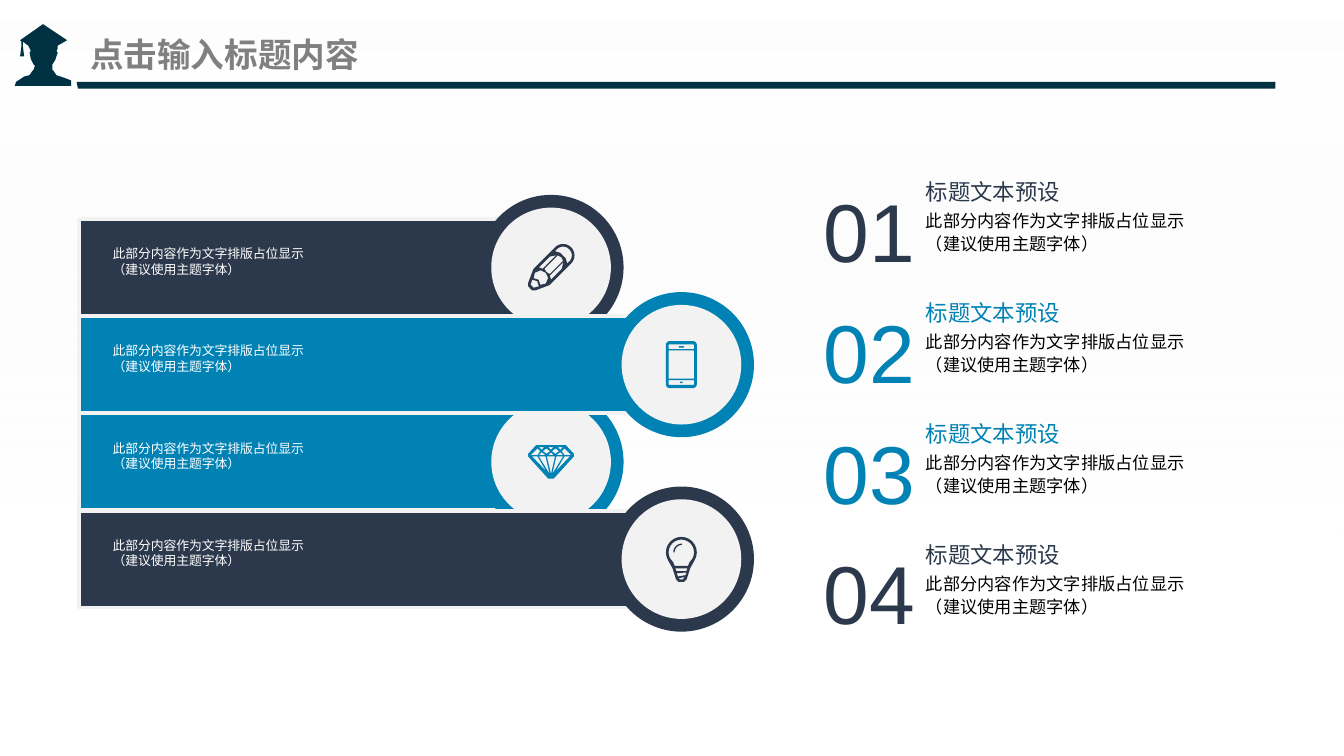
from dataclasses import dataclass
from math import cos, radians, sin, sqrt

from lxml.etree import SubElement
from pptx import Presentation
from pptx.dml.color import RGBColor
from pptx.enum.shapes import MSO_SHAPE
from pptx.enum.text import MSO_ANCHOR
from pptx.oxml.ns import qn
from pptx.util import Inches, Pt

Point = tuple[float, float]
Contour = list[Point]


@dataclass(frozen=True)
class Theme:
    navy: str = "2C394C"
    blue: str = "0083B4"
    header: str = "003142"
    title: str = "808080"
    pale: str = "F2F2F2"
    white: str = "FFFFFF"
    black: str = "000000"
    font: str = "Arial"
    title_font: str = "Noto Sans CJK SC"
    title_size: float = 18
    number_size: float = 44
    heading_size: float = 12
    body_size: float = 9.2
    bar_size: float = 6.9


@dataclass(frozen=True)
class Item:
    number: str
    color: str
    bar_width: float
    circle_x: float
    icon: list[Contour]


THEME = Theme()
SLIDE_WIDTH = 10
SLIDE_HEIGHT = SLIDE_WIDTH * 9 / 16
BODY = "此部分内容作为文字排版占位显示\n（建议使用主题字体）"
BAR_LEFT, BAR_TOP, BAR_HEIGHT, BAR_PITCH = 0.59, 1.63, 0.72, 2.17 / 3
RING, DISC = 1.08, 0.89
LIST_TOP, LIST_PITCH = 1.29, 0.9


# Icon geometry, in hundredths of an inch around the icon centre
def arc(x: float, y: float, radius: float, start: int, end: int) -> Contour:
    steps = 16
    angles = [radians(start + (end - start) * i / steps) for i in range(steps + 1)]
    return [(x + radius * cos(a), y + radius * sin(a)) for a in angles]


def box(half_width: float, top: float, bottom: float, radius: float = 0.5) -> Contour:
    right, low, high = half_width - radius, bottom - radius, top + radius
    return (arc(right, low, radius, 0, 90) + arc(-right, low, radius, 90, 180)
            + arc(-right, high, radius, 180, 270) + arc(right, high, radius, 270, 360))


def mirrored(contours: list[Contour], x_sign: int, y_sign: int) -> list[Contour]:
    return contours + [[(x * x_sign, y * y_sign) for x, y in c] for c in contours]


def pencil() -> list[Contour]:
    upright = [
        [(-10, -8.5)] + arc(12.7, 0, 8.5, -90, 90)
        + [(-10, 8.5), (-20, 4), (-22, 2), (-22, -2), (-20, -4)],
        arc(12.7, 0, 6.5, -90, 90) + [(10.6, 6.4), (12.5, 3), (12.5, -3), (10.6, -6.4)],
        [(-4.2, -2.8), (9.9, -2.8), (10.8, 0), (9.9, 2.8), (-4.2, 2.8), (-4.8, 0)],
        [(-14.8, -3.5), (-11.3, -5.7), (-7, -4), (-5.6, 0), (-7, 4),
         (-11.3, 5.7), (-14.8, 3.5), (-13, 0)],
        [(-19.8, -1.6), (-16.3, -3.5), (-14.5, 0), (-16.3, 3.5), (-19.8, 1.6)],
    ]
    upright += mirrored([[(-6.4, -6.4), (5, -6.4), (9.2, -3.7), (-5, -3.7)]], 1, -1)
    return [[((u + v) / sqrt(2), (v - u) / sqrt(2)) for u, v in c] for c in upright]


def phone() -> list[Contour]:
    return [box(11.5, -17.5, 17.5, 3), box(9.5, -15, -11.5), box(9.5, -10.5, 10.5),
            box(9.5, 11.5, 15), box(2, -13.7, -12.7), box(1, 12.7, 13.7)]


def diamond() -> list[Contour]:
    outline = [(-17, -6), (-11, -12.5), (11, -12.5), (17, -6),
               (17, -4), (2, 12.5), (-2, 12.5), (-17, -4)]
    side_facets = [
        [(-10, -10), (-8, -8), (-10, -5), (-15, -5)],
        [(-14, -4), (-10, -4), (-3.5, 7)],
        [(-9, -4), (-4, -4), (-1, 9)],
        [(-7, -7.3), (-4, -5), (-9, -5)],
        [(-7, -9), (-9, -11), (-5, -11)],
        [(-3.3, -6), (-6, -8), (-3.5, -10), (-0.7, -8)],
    ]
    middle_facets = [[(0, 9), (-3, -4), (3, -4)], [(-2, -5), (2, -5), (0, -7)],
                     [(0, -9), (-2, -11), (2, -11)]]
    return [outline] + mirrored(side_facets, -1, 1) + middle_facets


def bulb() -> list[Contour]:
    return [
        arc(0, -5, 11.5, 150, 390) + [(6.5, 7), (4, 15), (2, 17), (-2, 17), (-4, 15), (-6.5, 7)],
        arc(0, -5, 9.5, 150, 390) + [(6, 2.5), (5, 5), (-5, 5), (-6, 2.5)],
        [(-4.5, 7), (4.5, 7), (3.7, 9), (-3.7, 9)],
        [(-3.5, 10.5), (4, 10), (3, 12), (-2.5, 13)],
        [(-2, 14.3), (2.7, 13.3), (1, 15.2), (-1, 15.2)],
        arc(0.5, -5, 6.5, 180, 270) + arc(0.5, -5, 5.5, 270, 180),
    ]


GRADUATE = [
    (53, 60), (48, 58), (42, 56), (40, 53), (39, 52), (39, 48), (41, 45), (43, 39),
    (42, 38), (43, 36), (43, 34), (50, 30), (32, 18), (15, 30), (16, 31), (16, 34),
    (15, 42), (18, 42), (17, 34), (17, 31), (21, 34), (23, 38), (22, 39), (23, 44),
    (25, 48), (26, 49), (25, 52), (24, 53), (22, 56), (18, 57), (12, 61), (11, 64), (53, 64),
]
HEADER_RULE = [(57, 61), (949, 61), (949, 66), (58, 66)]


# Drawing helpers
def paint(shape, color: str) -> None:
    shape.shadow.inherit = False
    shape.fill.solid()
    shape.fill.fore_color.rgb = RGBColor.from_string(color)
    shape.line.fill.background()


def add_preset(slide, kind: MSO_SHAPE, left: float, top: float,
               width: float, height: float, color: str):
    shape = slide.shapes.add_shape(kind, Inches(left), Inches(top), Inches(width), Inches(height))
    paint(shape, color)
    return shape


def add_circle(slide, x: float, y: float, size: float, color: str) -> None:
    add_preset(slide, MSO_SHAPE.OVAL, x - size / 2, y - size / 2, size, size, color)


def add_outline(slide, contours: list[Contour], color: str, x: float = 0, y: float = 0) -> None:
    placed = [[(Inches(x + u / 100), Inches(y + v / 100)) for u, v in c] for c in contours]
    builder = slide.shapes.build_freeform(*placed[0][0])
    builder.add_line_segments(placed[0][1:], close=True)
    for contour in placed[1:]:
        builder.move_to(*contour[0])
        builder.add_line_segments(contour[1:], close=True)
    paint(builder.convert_to_shape(), color)


def add_text(slide, text: str, left: float, top: float, width: float, height: float,
             size: float, color: str, font: str = THEME.font):
    shape = slide.shapes.add_textbox(Inches(left), Inches(top), Inches(width), Inches(height))
    shape.text_frame.word_wrap = True
    paragraph = shape.text_frame.paragraphs[0]
    paragraph.text = text
    paragraph.font.name = font
    paragraph.font.size = Pt(size)
    paragraph.font.color.rgb = RGBColor.from_string(color)
    return shape


def add_label(slide, *arguments) -> None:
    frame = add_text(slide, *arguments).text_frame
    frame.word_wrap = False
    frame.margin_right = 0


# Slide parts
def add_background(slide) -> None:
    shape = add_preset(slide, MSO_SHAPE.RECTANGLE, 0, 0, SLIDE_WIDTH, SLIDE_HEIGHT, THEME.white)
    shape.fill.gradient()
    shape.fill.gradient_angle = 270
    stops = ((0, THEME.white, 55), (0.71, THEME.pale, 0))
    for stop, (position, color, _) in zip(shape.fill.gradient_stops, stops):
        stop.position = position
        stop.color.rgb = RGBColor.from_string(color)
    for element, (_, _, opacity) in zip(shape._element.iter(qn("a:srgbClr")), stops):
        SubElement(element, qn("a:alpha")).set("val", str(opacity * 1000))


def add_header(slide) -> None:
    add_outline(slide, [HEADER_RULE], THEME.header)
    title = add_text(slide, "点击输入标题内容", 0.67, 0.19, 2.33, 0.42,
                     THEME.title_size, THEME.title, THEME.title_font)
    frame = title.text_frame
    frame.margin_left = frame.margin_right = 0
    frame.vertical_anchor = MSO_ANCHOR.MIDDLE
    frame.paragraphs[0].font.bold = True
    add_outline(slide, [GRADUATE], THEME.header)


def add_list_entry(slide, item: Item, row: int) -> None:
    top = LIST_TOP + row * LIST_PITCH
    add_label(slide, item.number, 6.03, top, 0.82, 0.91, THEME.number_size, item.color)
    add_label(slide, "标题文本预设", 6.79, top - 0.01, 1.15, 0.3, THEME.heading_size, item.color)
    body = add_text(slide, BODY, 6.79, top + 0.21, 2.61, 0.45, THEME.body_size, THEME.black)
    body.text_frame.paragraphs[0].line_spacing = 1.1


def add_bar(slide, item: Item, row: int) -> None:
    top = BAR_TOP + row * BAR_PITCH
    middle = top + BAR_HEIGHT / 2
    bar = add_preset(slide, MSO_SHAPE.RECTANGLE, BAR_LEFT, top,
                     item.bar_width, BAR_HEIGHT, item.color)
    bar.line.color.rgb = RGBColor.from_string(THEME.pale)
    bar.line.width = Pt(2)
    add_circle(slide, item.circle_x, middle, RING, item.color)
    add_circle(slide, item.circle_x, middle, DISC, THEME.pale)
    add_outline(slide, item.icon, item.color, item.circle_x, middle)
    add_text(slide, BODY, BAR_LEFT + 0.15, top + 0.15, 2.64, 0.35, THEME.bar_size, THEME.white)


def main() -> None:
    presentation = Presentation()
    presentation.slide_width = Inches(SLIDE_WIDTH)
    presentation.slide_height = Inches(SLIDE_HEIGHT)
    slide = presentation.slides.add_slide(presentation.slide_layouts[6])
    items = [
        Item("01", THEME.navy, 3.27, 4.1, pencil()),
        Item("02", THEME.blue, 4.48, 5.07, phone()),
        Item("03", THEME.blue, 3.27, 4.1, diamond()),
        Item("04", THEME.navy, 4.48, 5.07, bulb()),
    ]
    add_background(slide)
    add_header(slide)
    for row, item in enumerate(items):
        add_list_entry(slide, item, row)
    # The long bars overlap the circles of the short ones
    for row in (0, 2, 3, 1):
        add_bar(slide, items[row], row)
    presentation.save("out.pptx")


if __name__ == "__main__":
    main()
